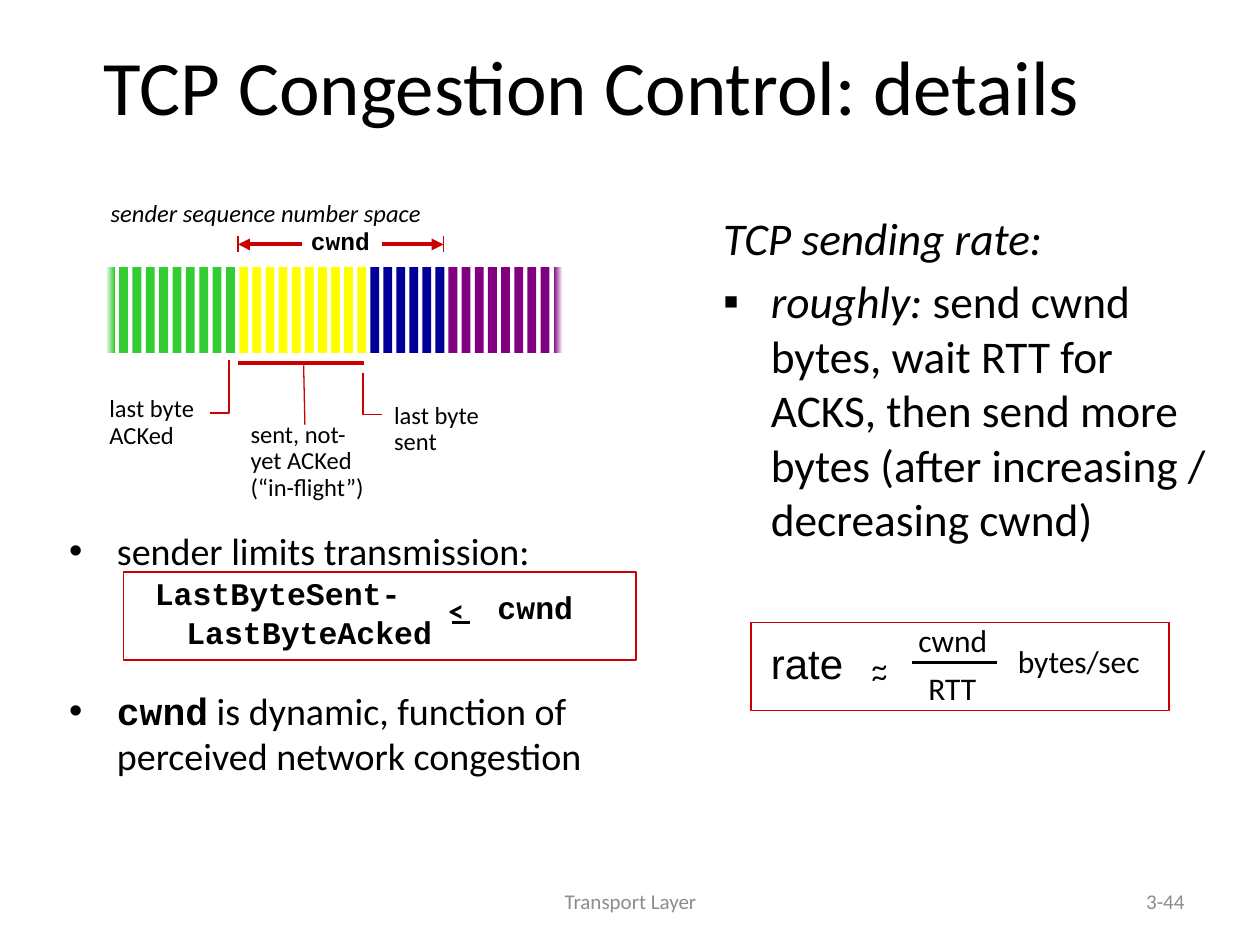
import pptx
import pptx.dml.color
import pptx.enum.shapes
import pptx.enum.text
import pptx.oxml.ns
import pptx.util
from lxml import etree

Inches = pptx.util.Inches
Pt = pptx.util.Pt
ALIGN = pptx.enum.text.PP_ALIGN
ANCHOR = pptx.enum.text.MSO_ANCHOR
COLORS = {
    "black": "000000", "white": "FFFFFF", "gray": "8C8C8C", "red": "CC0000",
    "green": "33CC33", "yellow": "FFFF00", "blue": "000099", "purple": "800080",
}


def color(name):
    return pptx.dml.color.RGBColor.from_string(COLORS[name])


def add_xml(parent, tag, **attributes):
    return etree.SubElement(parent, pptx.oxml.ns.qn(tag), attributes)


class SlideBuilder:
    """Holds the text style and the slide being built."""

    style = {"name": "Calibri", "size": Pt(18), "bold": False, "italic": False}

    def __init__(self, slide):
        self.slide = slide
        self.shapes = slide.shapes

    def text(self, box, paragraphs, color_name="black", anchor=ANCHOR.TOP, wrap=True,
             grow=False, **font_format):
        """Each paragraph is a string or a dict with runs and paragraph format."""
        shape = self.shapes.add_textbox(*map(Inches, box))
        frame = shape.text_frame
        sizing = pptx.enum.text.MSO_AUTO_SIZE
        frame.auto_size = sizing.SHAPE_TO_FIT_TEXT if grow else sizing.NONE
        frame.word_wrap, frame.vertical_anchor = wrap, anchor
        for index, item in enumerate(paragraphs):
            item = item if isinstance(item, dict) else {"runs": [(item, {})]}
            paragraph = frame.paragraphs[0] if index == 0 else frame.add_paragraph()
            for name, value in item.get("format", {}).items():
                setattr(paragraph, name, value)
            self.indent(paragraph, item)
            for content, run_format in item["runs"]:
                run = paragraph.add_run()
                run.text = content
                for name, value in {**self.style, **font_format, **run_format}.items():
                    setattr(run.font, name, value)
                run.font.color.rgb = color(color_name)

    def indent(self, paragraph, item):
        properties = paragraph._p.get_or_add_pPr()
        if "margin" in item:
            properties.set("marL", str(Inches(item["margin"])))
            properties.set("indent", str(Inches(item.get("first", 0))))
        if "bullet" in item:
            add_xml(properties, "a:buFont", typeface="Arial")
            add_xml(properties, "a:buChar", char=item["bullet"])

    def label(self, box, lines, **options):
        """Small diagram label with tight line spacing."""
        tight = {"line_spacing": 0.9}
        self.text(box, [{"runs": [(line, {})], "format": tight} for line in lines],
                  **{"size": Pt(14), "grow": True, **options})

    def line(self, start, end, width, color_name="red", arrow=False):
        connector = self.shapes.add_connector(
            pptx.enum.shapes.MSO_CONNECTOR.STRAIGHT, *map(Inches, start + end))
        connector.line.width = Pt(width)
        connector.line.color.rgb = color(color_name)
        if arrow:
            add_xml(connector.line._get_or_add_ln(), "a:tailEnd", type="triangle")
        add_xml(connector._element.spPr, "a:effectLst")

    def rectangle(self, box):
        shape = self.shapes.add_shape(
            pptx.enum.shapes.MSO_SHAPE.RECTANGLE, *map(Inches, box))
        shape.shadow.inherit = False
        return shape

    def bar(self, box, color_name, fade=None):
        """Solid bar, or one that fades along the two colours given in fade."""
        shape = self.rectangle(box)
        shape.line.fill.background()
        if fade:
            shape.fill.gradient()
            shape.fill.gradient_angle = 0
            for stop, stop_color in zip(shape.fill.gradient_stops, fade):
                stop.color.rgb = color(stop_color)
        else:
            shape.fill.solid()
            shape.fill.fore_color.rgb = color(color_name)

    def frame(self, box):
        shape = self.rectangle(box)
        shape.fill.background()
        shape.line.color.rgb = color("red")
        shape.line.width = Pt(1)

    def elbow(self, *points):
        points = [tuple(map(Inches, point)) for point in points]
        builder = self.shapes.build_freeform(*points[0], scale=1.0)
        builder.add_line_segments(points[1:], close=False)
        shape = builder.convert_to_shape()
        shape.shadow.inherit = False
        shape.fill.background()
        shape.line.color.rgb = color("red")
        shape.line.width = Pt(1)


def add_sequence_space(builder):
    # Byte bars: colour, left edge and count of each group
    groups = [("green", 0.84, 10), ("yellow", 1.9, 10), ("blue", 2.94, 6), ("purple", 3.56, 9)]
    edges = [left for _, left, _ in groups[1:]] + [4.5]
    fades = {("green", 0): ("white", "green"), ("purple", 8): ("purple", "white")}
    for (name, left, count), right in zip(groups, edges):
        pitch = (right - left) / count
        for index in range(count):
            builder.bar((left + index * pitch, 2.12, 0.07, 0.68), name,
                        fades.get((name, index)))

    # Window span above the bars
    builder.text((0.78, 1.52, 2.98, 0.33), ["sender sequence number space"],
                 size=Pt(14), italic=True, wrap=False, grow=True)
    builder.label((2.37, 1.77, 0.67, 0.31), ["cwnd"], name="Courier New", bold=True, wrap=False)
    for inner, outer in [(2.4, 1.89), (3.03, 3.52)]:
        builder.line((inner, 1.94), (outer, 1.94), 2.25, arrow=True)
        builder.line((outer, 1.87), (outer, 2.0), 0.75)

    # Pointers and labels below the bars
    builder.line((1.89, 2.88), (2.89, 2.88), 2.25)
    builder.line((2.41, 2.9), (2.42, 3.37), 0.75)
    builder.elbow((1.82, 2.86), (1.82, 3.28), (1.67, 3.28))
    builder.elbow((2.88, 2.96), (2.88, 3.29), (3.03, 3.29))
    builder.label((0.77, 3.1, 0.93, 0.52), ["last byte", "ACKed"], wrap=False)
    builder.label((1.89, 3.3, 1.17, 0.73), ["sent, not-yet ACKed", "(“in-flight”)"])
    builder.label((3.03, 3.15, 1.17, 0.52), ["last byte sent"])


def add_body(builder):
    hanging = {"margin": 0.38, "first": -0.38}
    code = {"name": "Courier New", "bold": True}
    builder.text((0.45, 4.14, 4.96, 1.85), [
        {"runs": [("sender limits transmission:", {})], "bullet": "•", **hanging},
        {"runs": [("cwnd", code),
                  (" is dynamic, function of perceived network congestion", {})],
         "bullet": "•", "format": {"space_before": Pt(65)}, **hanging},
    ], size=Pt(21.7))
    builder.text((5.64, 1.62, 4.17, 2.68), [
        {"runs": [("TCP sending rate:", {"italic": True})], **hanging},
        {"runs": [("roughly:", {"italic": True}),
                  (" send cwnd bytes, wait RTT for ACKS, then send more bytes "
                   "(after increasing / decreasing cwnd)", {})],
         "bullet": "▪", "format": {"space_before": Pt(5)}, **hanging},
    ], size=Pt(25.9))


def add_formulas(builder):
    # Window limit
    code = {"name": "Courier New", "bold": True}
    spacing = {"line_spacing": 0.85, "space_before": Pt(4)}
    builder.text((1.13, 4.55, 3.08, 0.67), [
        {"runs": [("LastByteSent-", {})], "format": spacing},
        {"runs": [("LastByteAcked", {})], "format": spacing, "margin": 0.25},
    ], grow=True, **code)
    builder.text((3.46, 4.64, 0.38, 0.37), ["<"], bold=True, wrap=False, grow=True)
    builder.line((3.59, 4.94), (3.73, 4.94), 1.5, "black")
    builder.text((3.85, 4.62, 0.8, 0.4), ["cwnd"], wrap=False, grow=True, **code)
    builder.frame((0.98, 4.54, 4.07, 0.7))

    # Sending rate
    builder.text((6.02, 5.01, 0.78, 0.5), ["rate"], name="Arial", size=Pt(24),
                 wrap=False, grow=True)
    for top in (5.08, 5.16):
        builder.text((6.82, top, 1.02, 0.4), ["~"], grow=True)
    for box, content in [((7.19, 4.88, 0.78, 0.4), "cwnd"), ((7.27, 5.26, 0.65, 0.4), "RTT"),
                         ((7.98, 5.05, 1.24, 0.4), "bytes/sec")]:
        builder.text(box, [content], wrap=False, grow=True)
    builder.line((7.24, 5.26), (7.91, 5.26), 1.5, "black")
    builder.frame((5.96, 4.94, 3.32, 0.7))


def main():
    presentation = pptx.Presentation()
    presentation.slide_width, presentation.slide_height = Inches(10), Inches(7.5)
    builder = SlideBuilder(presentation.slides.add_slide(presentation.slide_layouts[6]))

    # Title and footer
    for box, content, alignment, size, name in [
        ((0.45, 0.25, 8.5, 0.84), "TCP Congestion Control: details", ALIGN.CENTER, 44, "black"),
        ((3.42, 6.95, 3.17, 0.4), "Transport Layer", ALIGN.CENTER, 12, "gray"),
        ((7.17, 6.95, 2.33, 0.4), "3-44", ALIGN.RIGHT, 12, "gray"),
    ]:
        builder.text(box, [{"runs": [(content, {})], "format": {"alignment": alignment}}],
                     name, ANCHOR.MIDDLE, size=Pt(size))
    add_body(builder)
    add_sequence_space(builder)
    add_formulas(builder)
    presentation.save("out.pptx")


if __name__ == "__main__":
    main()
